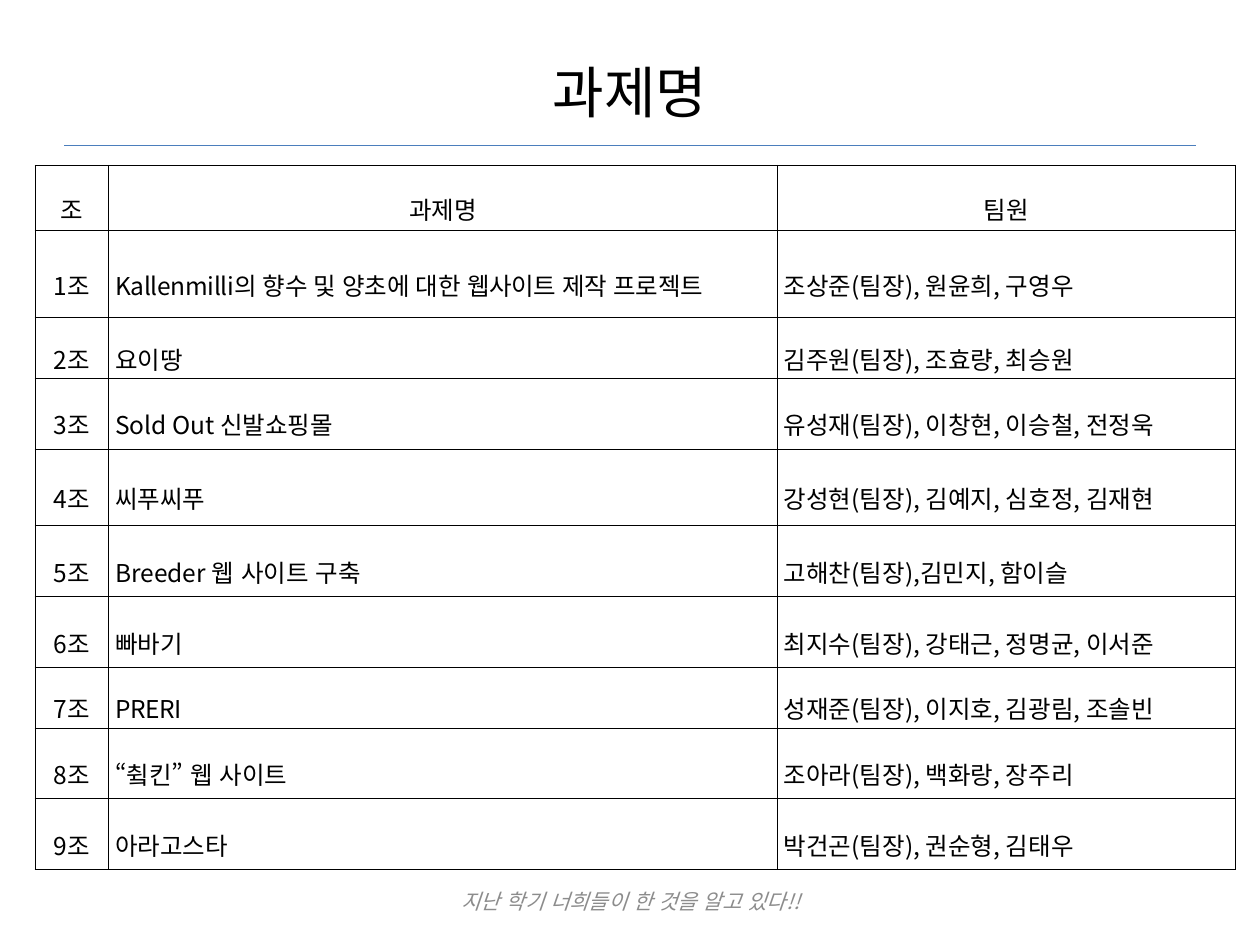
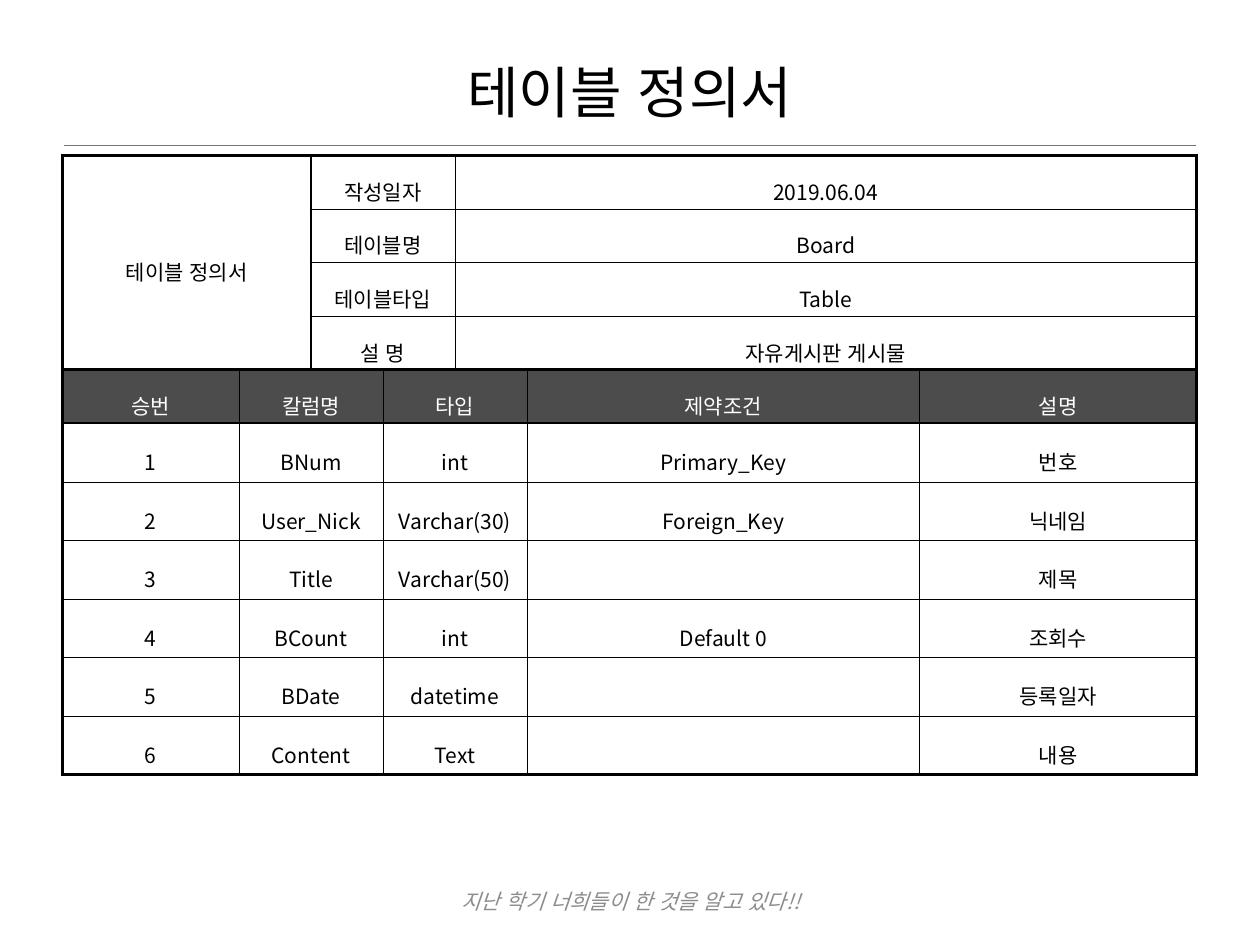
from dataclasses import dataclass
from typing import Any

from lxml import etree
from pptx import Presentation
from pptx import util as u
from pptx.dml.color import RGBColor
from pptx.enum import lang, shapes, text
from pptx.oxml import ns

ALIGN = text.PP_ALIGN
MIDDLE = text.MSO_ANCHOR.MIDDLE


@dataclass(frozen=True)
class Theme:
    font: str = "Noto Sans CJK KR"
    ink: str = "000000"
    paper: str = "FFFFFF"
    rule: str = "4B7EBC"
    muted: str = "8C8C8C"
    header: str = "4C4C4C"
    title_size: float = 32
    team_size: float = 14
    small_size: float = 12
    rule_width: float = 0.75
    row_line: float = 0.25
    column_line: float = 0.28
    frame_line: float = 1.7
    base_line: float = 2.25
    cell_spacing: float = 1.6
    tight: float = -0.2


THEME = Theme()


@dataclass(frozen=True)
class Edges:
    left: float = THEME.column_line
    right: float = THEME.column_line
    top: float = THEME.column_line
    bottom: float = THEME.column_line


@dataclass(frozen=True)
class Entry:
    row: int
    column: int
    words: str
    edges: Edges = Edges()
    align: ALIGN = ALIGN.CENTER
    rows: int = 1
    columns: int = 1
    ink: str = THEME.ink
    fill: str | None = None
    tracking: float = 0


@dataclass(frozen=True)
class Grid:
    left: float
    top: float
    columns: list[float]
    rows: list[float]
    margin_x: float
    margin_y: float
    size: float
    entries: list[Entry]


@dataclass(frozen=True)
class Team:
    project: str
    members: str
    project_align: ALIGN = ALIGN.JUSTIFY
    members_align: ALIGN = ALIGN.JUSTIFY
    tracking: float = 0


@dataclass(frozen=True)
class Field:
    name: str
    kind: str
    limit: str
    meaning: str


FOOTER = "지난 학기 너희들이 한 것을 알고 있다!!"
TEAM_HEADINGS = ["조", "과제명", "팀원"]
TEAMS = [
    Team("Kallenmilli의 향수 및 양초에 대한 웹사이트 제작 프로젝트",
         "조상준(팀장), 원윤희, 구영우", ALIGN.LEFT, tracking=THEME.tight),
    Team("요이땅", "김주원(팀장), 조효량, 최승원"),
    Team("Sold Out 신발쇼핑몰", "유성재(팀장), 이창현, 이승철, 전정욱", ALIGN.LEFT),
    Team("씨푸씨푸", "강성현(팀장), 김예지, 심호정, 김재현", ALIGN.LEFT, ALIGN.LEFT),
    Team("Breeder 웹 사이트 구축", "고해찬(팀장),김민지, 함이슬", ALIGN.LEFT, ALIGN.LEFT),
    Team("빠바기", "최지수(팀장), 강태근, 정명균, 이서준"),
    Team("PRERI", "성재준(팀장), 이지호, 김광림, 조솔빈", tracking=THEME.tight),
    Team("“츀킨” 웹 사이트", "조아라(팀장), 백화랑, 장주리"),
    Team("아라고스타", "박건곤(팀장), 권순형, 김태우"),
]
SUMMARY = [
    ("작성일자", "2019.06.04"),
    ("테이블명", "Board"),
    ("테이블타입", "Table"),
    ("설 명", "자유게시판 게시물"),
]
FIELD_HEADINGS = ["승번", "칼럼명", "타입", "제약조건", "설명"]
FIELD_COLUMNS = [(0, 1), (1, 2), (3, 2), (5, 1), (6, 1)]
FIELDS = [
    Field("BNum", "int", "Primary_Key", "번호"),
    Field("User_Nick", "Varchar(30)", "Foreign_Key", "닉네임"),
    Field("Title", "Varchar(50)", "", "제목"),
    Field("BCount", "int", "Default 0", "조회수"),
    Field("BDate", "datetime", "", "등록일자"),
    Field("Content", "Text", "", "내용"),
]


def set_format(target: Any, values: dict[str, Any]) -> None:
    for name, value in values.items():
        setattr(target, name, value)


def write(frame: Any, words: str, size: float, color: str, align: ALIGN,
          spacing: float = 1.0, italic: bool = False, tracking: float = 0) -> None:
    para = frame.paragraphs[0]
    if not words:
        etree.SubElement(para._p, ns.qn("a:endParaRPr"), sz=str(int(size * 100)))
        return
    set_format(para, {"alignment": align, "line_spacing": spacing})
    span = para.add_run()
    span.text = words
    set_format(span.font, {"name": THEME.font, "size": u.Pt(size), "italic": italic,
                           "language_id": lang.MSO_LANGUAGE_ID.KOREAN})
    span.font.color.rgb = RGBColor.from_string(color)
    etree.SubElement(span.font._element, ns.qn("a:ea"), typeface=THEME.font)
    if tracking:
        span.font._element.set("spc", str(round(tracking * 100)))


def draw_edges(cell: Any, edges: Edges) -> None:
    properties = cell._tc.get_or_add_tcPr()
    widths = {"lnL": edges.left, "lnR": edges.right, "lnT": edges.top, "lnB": edges.bottom}
    for position, (tag, width) in enumerate(widths.items()):
        line = etree.Element(ns.qn(f"a:{tag}"), w=str(int(u.Pt(width))))
        fill = etree.SubElement(line, ns.qn("a:solidFill"))
        etree.SubElement(fill, ns.qn("a:srgbClr"), val=THEME.ink)
        properties.insert(position, line)


def draw_grid(page: Any, grid: Grid) -> None:
    table = page.shapes.add_table(
        len(grid.rows), len(grid.columns), u.Cm(grid.left), u.Cm(grid.top),
        u.Cm(sum(grid.columns)), u.Cm(sum(grid.rows))).table
    set_format(table, {"first_row": False, "horz_banding": False})
    table._tbl.tblPr.find(ns.qn("a:tableStyleId")).text = "{2D5ABB26-0587-4C30-8999-92F81FD0307C}"
    for column, width in zip(table.columns, grid.columns):
        column.width = u.Cm(width)
    for row, height in zip(table.rows, grid.rows):
        row.height = u.Cm(height)
    margins = {
        "margin_left": u.Cm(grid.margin_x), "margin_right": u.Cm(grid.margin_x),
        "margin_top": u.Cm(grid.margin_y), "margin_bottom": u.Cm(grid.margin_y),
        "vertical_anchor": MIDDLE,
    }
    for entry in grid.entries:
        cell = table.cell(entry.row, entry.column)
        if entry.rows * entry.columns > 1:
            cell.merge(table.cell(entry.row + entry.rows - 1,
                                  entry.column + entry.columns - 1))
        set_format(cell, margins)
        if entry.fill:
            cell.fill.solid()
            cell.fill.fore_color.rgb = RGBColor.from_string(entry.fill)
        else:
            cell.fill.background()
        draw_edges(cell, entry.edges)
        write(cell.text_frame, entry.words, grid.size, entry.ink, entry.align,
              THEME.cell_spacing, tracking=entry.tracking)


def add_page(deck: Any, title: str) -> Any:
    page = deck.slides.add_slide(deck.slide_layouts[5])
    heading = page.shapes.title
    set_format(heading, {"left": u.Cm(1.27), "top": u.Cm(0.76),
                         "width": u.Cm(22.86), "height": u.Cm(2.16)})
    heading.text_frame.vertical_anchor = MIDDLE
    write(heading.text_frame, title, THEME.title_size, THEME.ink, ALIGN.CENTER)

    rule = page.shapes.add_connector(shapes.MSO_CONNECTOR.STRAIGHT, u.Cm(1.3), u.Cm(2.93),
                                     u.Cm(24.1), u.Cm(2.93))
    rule.line.width = u.Pt(THEME.rule_width)
    rule.line.color.rgb = RGBColor.from_string(THEME.rule)
    etree.SubElement(rule._element.spPr, ns.qn("a:effectLst"))

    box = page.shapes.add_textbox(u.Cm(8.69), u.Cm(17.65), u.Cm(8.05), u.Cm(1.02))
    set_format(box.text_frame, {"word_wrap": True, "vertical_anchor": MIDDLE})
    write(box.text_frame, FOOTER, THEME.small_size, THEME.muted, ALIGN.CENTER, italic=True)
    return page


def team_entries() -> list[Entry]:
    entries = [Entry(0, column, words) for column, words in enumerate(TEAM_HEADINGS)]
    for number, team in enumerate(TEAMS, 1):
        entries += [
            Entry(number, 0, f"{number}조"),
            Entry(number, 1, team.project, align=team.project_align, tracking=team.tracking),
            Entry(number, 2, team.members, align=team.members_align),
        ]
    return entries


def summary_entries() -> list[Entry]:
    frame, thin = THEME.frame_line, THEME.row_line
    last = len(SUMMARY) - 1
    entries = [Entry(0, 0, "테이블 정의서", Edges(frame, frame, frame, frame),
                     rows=len(SUMMARY), columns=2)]
    for row, (label, value) in enumerate(SUMMARY):
        top = frame if row == 0 else thin
        bottom = frame if row == last else thin
        entries += [
            Entry(row, 2, label, Edges(frame, thin, top, bottom), columns=2),
            Entry(row, 4, value, Edges(thin, frame, top, bottom), columns=3),
        ]
    return entries


def field_entries() -> list[Entry]:
    frame, thin, inner = THEME.frame_line, THEME.row_line, THEME.column_line
    lines = [FIELD_HEADINGS] + [
        [str(number), field.name, field.kind, field.limit, field.meaning]
        for number, field in enumerate(FIELDS, 1)]
    entries = []
    for index, line in enumerate(lines):
        is_header = index == 0
        top = frame if index < 2 else thin
        bottom = frame if is_header else THEME.base_line if index == len(FIELDS) else thin
        for (column, columns), words in zip(FIELD_COLUMNS, line):
            edges = Edges(frame if column == 0 else inner,
                          frame if column == 6 else inner, top, bottom)
            entries.append(Entry(
                len(SUMMARY) + index, column, words, edges, columns=columns,
                ink=THEME.paper if is_header else THEME.ink,
                fill=THEME.header if is_header else None))
    return entries


def main() -> None:
    deck = Presentation()
    set_format(deck, {"slide_width": u.Cm(25.4), "slide_height": u.Cm(19.05)})
    draw_grid(add_page(deck, "과제명"), Grid(
        0.7, 3.33, [1.49, 13.48, 9.23],
        [1.32, 1.75, 1.22, 1.43, 1.54, 1.43, 1.43, 1.22, 1.43, 1.43],
        0.13, 0.03, THEME.team_size, team_entries()))
    draw_grid(add_page(deck, "테이블 정의서"), Grid(
        1.26, 3.13, [3.56] + [1.45] * 4 + [7.92, 5.58],
        [1.08] * (len(SUMMARY) + 1) + [1.18] * len(FIELDS),
        0.18, 0.05, THEME.small_size, summary_entries() + field_entries()))
    deck.save("out.pptx")


if __name__ == "__main__":
    main()
